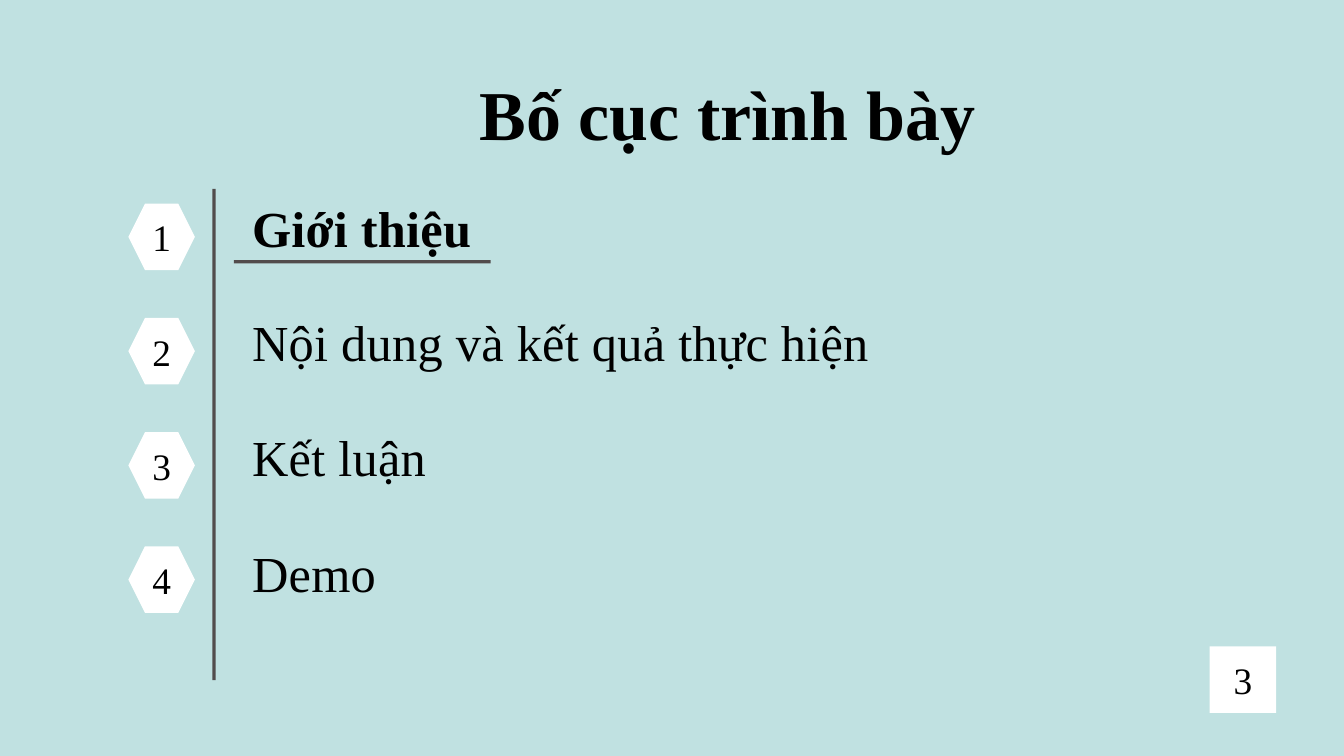
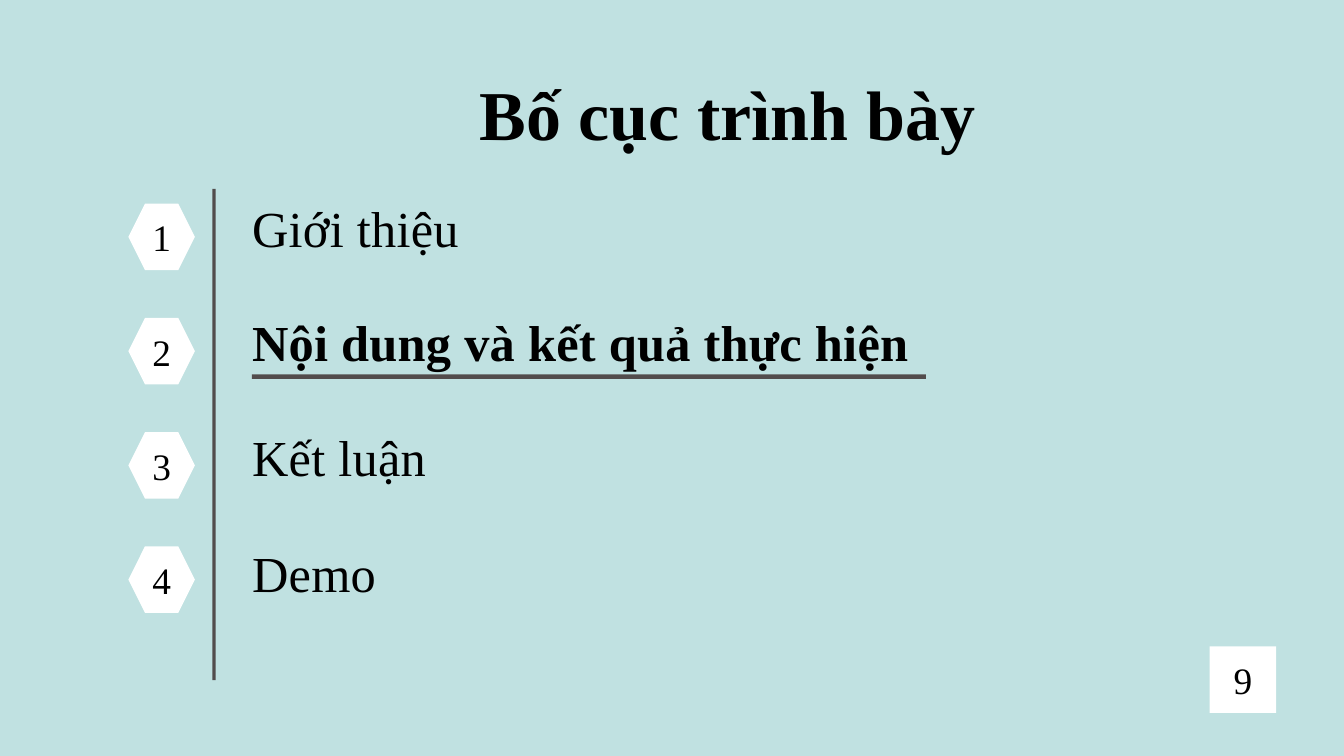
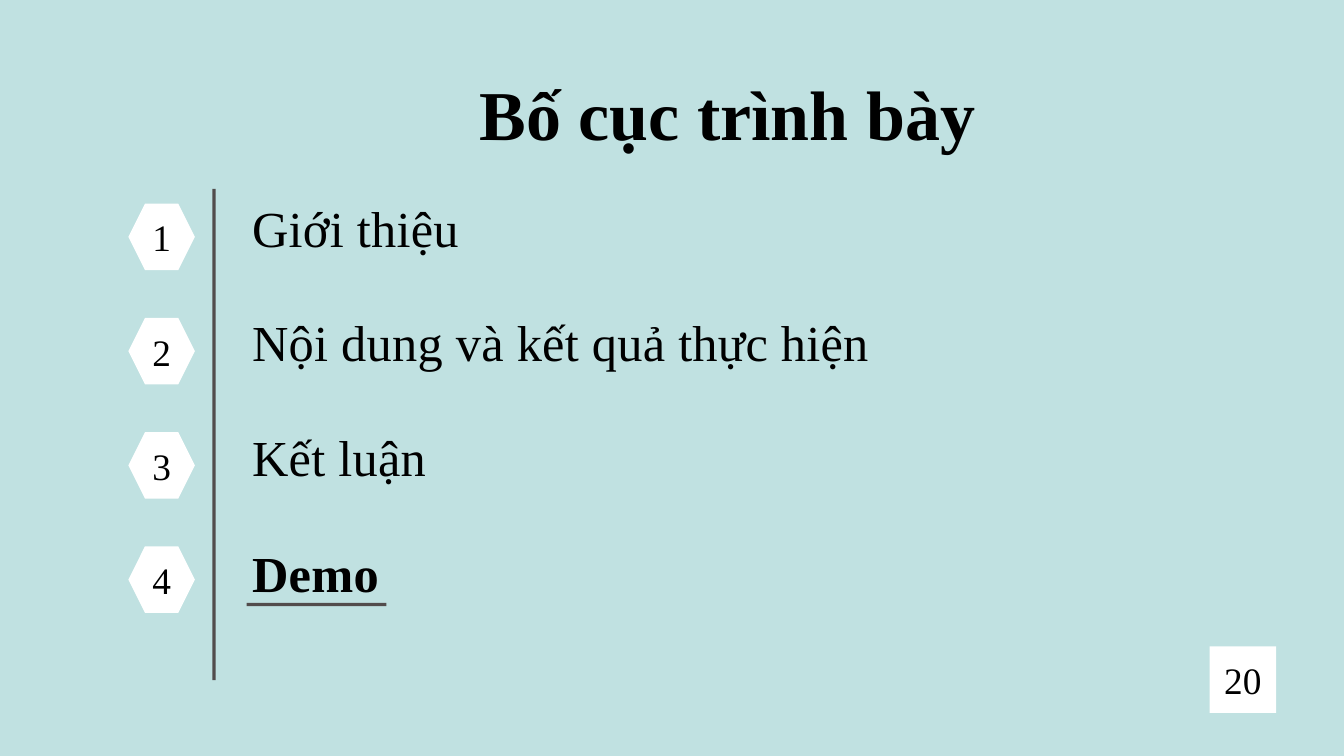
"""Three agenda slides, each highlighting another section of the talk."""
from dataclasses import dataclass

from pptx import Presentation
from pptx import util as u
from pptx.dml.color import RGBColor
from pptx.enum import shapes, text


@dataclass(frozen=True)
class Theme:
    background: RGBColor = RGBColor(0xC0, 0xE1, 0xE1)
    panel: RGBColor = RGBColor(0xFF, 0xFF, 0xFF)
    rule: RGBColor = RGBColor(0x52, 0x4C, 0x4C)
    ink: RGBColor = RGBColor(0, 0, 0)
    font: str = "Times New Roman"
    title_size: float = 75
    title_line: float = 82.5
    item_size: float = 54
    item_line: float = 45
    item_tracking: float = 0.3
    number_size: float = 40
    number_gap: float = 6


@dataclass(frozen=True)
class Box:
    """A rectangle in columns and rows of the grid."""
    column: float
    row: float
    columns: float
    rows: float


@dataclass(frozen=True)
class Agenda:
    """One slide: its page number, the current item and that item's underline."""
    page: int
    current: int
    underline_column: float
    underline_columns: float
    underline_rows: float = 0.2


THEME = Theme()

# Grid of 80 columns and 45 rows, in square cells
CELL = u.Inches(0.25)
COLUMNS, ROWS = 80, 45

TITLE_BOX = Box(24.88, 4.64, 36.84, 4.76)
LIST_BOX = Box(15, 12.84, 41.68, 23.2)
RULE_BOX = Box(12.64, 11.24, 0.2, 29.24)
BADGE = 3.96
PAGE_BOX = Box(72, 38.48, BADGE, BADGE)
MARKER_COLUMN, MARKER_ROW = 7.64, 12.12
PITCH = 6.8
UNDERLINE_DROP = 2.64
LAST_ITEM_DROP = 0.12

TITLE = "Bố cục trình bày"
ITEMS = ["Giới thiệu", "Nội dung và kết quả thực hiện", "Kết luận", "Demo"]
AGENDAS = [
    Agenda(page=3, current=0, underline_column=13.92, underline_columns=15.28),
    Agenda(page=9, current=1, underline_column=15, underline_columns=40.12,
           underline_rows=0.28),
    Agenda(page=20, current=3, underline_column=14.68, underline_columns=8.32),
]


def cells(count: float) -> u.Emu:
    return u.Emu(round(count * CELL))


def place(shape, box: Box) -> None:
    shape.left, shape.top = cells(box.column), cells(box.row)
    shape.width, shape.height = cells(box.columns), cells(box.rows)


def write(paragraph, content: str, *, size: float, bold: bool = False,
          align=text.PP_ALIGN.LEFT, line: float | None = None,
          before: float = 0, after: float = 0, tracking: float = 0) -> None:
    """Fill a paragraph with one formatted run, without a bullet."""
    paragraph.alignment = align
    paragraph.space_before, paragraph.space_after = u.Pt(before), u.Pt(after)
    if line:
        paragraph.line_spacing = u.Pt(line)
    properties = paragraph._p.get_or_add_pPr()
    properties.set("marL", "0")
    properties.set("indent", "0")
    properties.append(properties.makeelement(
        "{http://schemas.openxmlformats.org/drawingml/2006/main}buNone", {}))
    run = paragraph.add_run()
    run.text = content
    run.font.name, run.font.size = THEME.font, u.Pt(size)
    run.font.bold = bold
    run.font.color.rgb = THEME.ink
    if tracking:
        run._r.get_or_add_rPr().set("spc", str(round(tracking * 100)))


def prepare(placeholder, box: Box):
    """Move a placeholder and return its text frame, free of insets."""
    place(placeholder, box)
    frame = placeholder.text_frame
    frame.margin_left = frame.margin_right = 0
    frame.margin_top = frame.margin_bottom = 0
    frame.vertical_anchor = text.MSO_ANCHOR.TOP
    frame.auto_size = text.MSO_AUTO_SIZE.NONE
    frame.word_wrap = True
    return frame


def add_block(slide, box: Box, color: RGBColor,
              kind=shapes.MSO_SHAPE.RECTANGLE):
    shape = slide.shapes.add_shape(kind, 0, 0, 0, 0)
    place(shape, box)
    shape.shadow.inherit = False
    shape.fill.solid()
    shape.fill.fore_color.rgb = color
    shape.line.fill.background()
    return shape


def add_badge(slide, box: Box, number: int,
              kind=shapes.MSO_SHAPE.RECTANGLE) -> None:
    frame = add_block(slide, box, THEME.panel, kind).text_frame
    frame.vertical_anchor = text.MSO_ANCHOR.MIDDLE
    write(frame.paragraphs[0], str(number), size=THEME.number_size,
          align=text.PP_ALIGN.CENTER, before=THEME.number_gap,
          after=THEME.number_gap)


def add_list(placeholder, current: int) -> None:
    frame = prepare(placeholder, LIST_BOX)
    gap = cells(PITCH).pt - THEME.item_line
    for index, item in enumerate(ITEMS):
        paragraph = frame.add_paragraph() if index else frame.paragraphs[0]
        before = gap if index else 0
        if index == len(ITEMS) - 1:
            before += cells(LAST_ITEM_DROP).pt
        write(paragraph, item, size=THEME.item_size, bold=index == current,
              line=THEME.item_line, before=before,
              tracking=THEME.item_tracking)


def add_agenda(presentation, agenda: Agenda) -> None:
    slide = presentation.slides.add_slide(presentation.slide_layouts[1])

    # Title and list
    title = prepare(slide.shapes.title, TITLE_BOX)
    write(title.paragraphs[0], TITLE, size=THEME.title_size, bold=True,
          align=text.PP_ALIGN.CENTER, line=THEME.title_line)
    add_list(slide.placeholders[1], agenda.current)

    # Vertical rule and numbered markers
    add_block(slide, RULE_BOX, THEME.rule)
    for index in range(len(ITEMS)):
        marker = Box(MARKER_COLUMN, MARKER_ROW + index * PITCH, BADGE, BADGE)
        add_badge(slide, marker, index + 1, shapes.MSO_SHAPE.HEXAGON)

    # Underline of the current item, and page number
    underline_row = LIST_BOX.row + agenda.current * PITCH + UNDERLINE_DROP
    add_block(slide, Box(agenda.underline_column, underline_row,
                         agenda.underline_columns, agenda.underline_rows),
              THEME.rule)
    add_badge(slide, PAGE_BOX, agenda.page)


def main() -> None:
    presentation = Presentation()
    presentation.slide_width = cells(COLUMNS)
    presentation.slide_height = cells(ROWS)
    background = presentation.slide_master.background.fill
    background.solid()
    background.fore_color.rgb = THEME.background
    for agenda in AGENDAS:
        add_agenda(presentation, agenda)
    presentation.save("out.pptx")


main()
